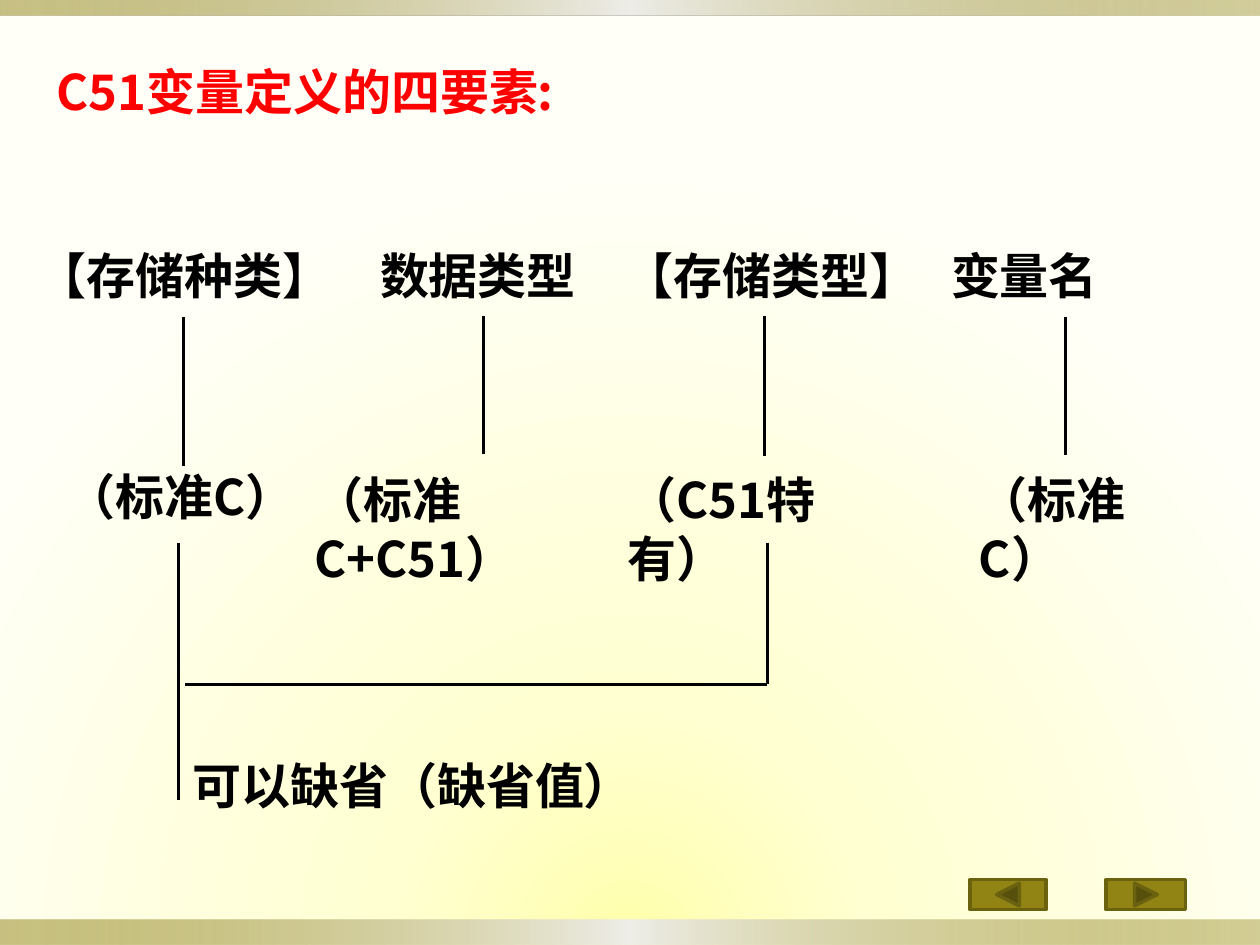
from lxml import etree
from pptx import Presentation
from pptx.dml.color import RGBColor
from pptx.enum.shapes import MSO_CONNECTOR, MSO_SHAPE
from pptx.enum.text import MSO_ANCHOR, MSO_AUTO_SIZE, PP_ALIGN
from pptx.oxml import parse_xml
from pptx.oxml.ns import nsdecls, qn
from pptx.util import Inches, Pt

RECT = MSO_SHAPE.RECTANGLE
BACK = MSO_SHAPE.ACTION_BUTTON_BACK_OR_PREVIOUS
NEXT = MSO_SHAPE.ACTION_BUTTON_FORWARD_OR_NEXT
STRAIGHT = MSO_CONNECTOR.STRAIGHT
TOP, MIDDLE = MSO_ANCHOR.TOP, MSO_ANCHOR.MIDDLE
LEFT = PP_ALIGN.LEFT
FIXED, GROW = MSO_AUTO_SIZE.NONE, MSO_AUTO_SIZE.SHAPE_TO_FIT_TEXT

COLORS = {
    "text": "000000",
    "title": "FF0000",
    "olive": "918415",
    "olive_dark": "6B6210",
    "silver": "EEEDE8",
    "glow": "FFFFAC",
    "cream": "FFFFD2",
    "ivory": "FFFFF7",
}
LINEAR = '<a:lin ang="0" scaled="0"/>'
RADIAL = ('<a:path path="circle">'
          '<a:fillToRect l="50000" t="150000" r="50000" b="0"/></a:path>')


def rgb(name):
    return RGBColor.from_string(COLORS[name])


def set_gradient(parent, stops, direction):
    """Replace the solid fill in parent; stops are (percent, color, opacity)."""
    gs = "".join(
        f'<a:gs pos="{pos * 1000}"><a:srgbClr val="{COLORS[color]}">'
        f'<a:alpha val="{opacity * 1000}"/></a:srgbClr></a:gs>'
        for pos, color, opacity in stops)
    grad = parse_xml(f'<a:gradFill {nsdecls("a")} rotWithShape="1">'
                     f'<a:gsLst>{gs}</a:gsLst>{direction}</a:gradFill>')
    parent.replace(parent.find(qn("a:solidFill")), grad)


class SlideBuilder:
    font = "Noto Sans CJK SC"
    size = 28
    line_width = 1.75

    def __init__(self, slide):
        self.slide = slide

    def background(self, stops):
        self.slide.background.fill.solid()
        bg_pr = self.slide._element.cSld.find(qn("p:bg")).find(qn("p:bgPr"))
        set_gradient(bg_pr, stops, RADIAL)

    def shape(self, kind, x, y, w, h):
        sp = self.slide.shapes.add_shape(
            kind, Inches(x), Inches(y), Inches(w), Inches(h))
        sp.shadow.inherit = False
        sp.fill.solid()
        return sp

    def band(self, y, h):
        sp = self.shape(RECT, 0, y, 10, h)
        sp.line.fill.background()
        stops = [(0, "olive", 50), (50, "silver", 100), (100, "olive", 40)]
        set_gradient(sp._element.spPr, stops, LINEAR)

    def button(self, kind, x, w):
        sp = self.shape(kind, x, 6.98, w, 0.24)
        sp.fill.fore_color.rgb = rgb("olive")
        sp.line.color.rgb = rgb("olive_dark")
        sp.line.width = Pt(2)

    def set_text(self, sp, text, color="text", anchor=TOP, tab=None, fit=GROW):
        tf = sp.text_frame
        tf.word_wrap = True
        tf.auto_size = fit
        tf.vertical_anchor = anchor
        p = tf.paragraphs[0]
        p.text = text
        p.alignment = LEFT
        if tab:
            tabs = etree.SubElement(p._p.get_or_add_pPr(), qn("a:tabLst"))
            etree.SubElement(tabs, qn("a:tab"), pos=str(Inches(tab)), algn="l")
        p.font.size = Pt(self.size)
        p.font.bold = True
        p.font.color.rgb = rgb(color)
        p.font.name = self.font
        props = p._p.pPr.find(qn("a:defRPr"))
        etree.SubElement(props, qn("a:ea"), typeface=self.font)

    def title(self, text, x, y, w, h):
        sp = self.slide.shapes.title
        sp.left, sp.top, sp.width, sp.height = map(Inches, (x, y, w, h))
        self.set_text(sp, text, "title", fit=FIXED)

    def text(self, text, x, y, w, inset=0.1, **style):
        sp = self.slide.shapes.add_textbox(
            Inches(x), Inches(y), Inches(w), Inches(0.57))
        sp.text_frame.margin_left = sp.text_frame.margin_right = Inches(inset)
        self.set_text(sp, text, **style)

    def line(self, x1, y1, x2, y2):
        cn = self.slide.shapes.add_connector(
            STRAIGHT, Inches(x1), Inches(y1), Inches(x2), Inches(y2))
        cn.line.color.rgb = rgb("text")
        cn.line.width = Pt(self.line_width)
        etree.SubElement(cn._element.spPr, qn("a:effectLst"))


def main():
    prs = Presentation()
    prs.slide_width, prs.slide_height = Inches(10), Inches(7.5)
    s = SlideBuilder(prs.slides.add_slide(prs.slide_layouts[5]))

    s.background([(0, "glow", 100), (31, "cream", 100), (100, "ivory", 100)])
    s.band(7.3, 0.2)
    s.band(0, 0.12)
    s.button(BACK, 7.7, 0.6)
    s.button(NEXT, 8.78, 0.63)

    s.title("C51变量定义的四要素:", 0.35, 0.44, 5.72, 0.57)
    s.text("【存储种类】　数据类型　【存储类型】\t变量名",
           0.2, 1.9, 9.53, anchor=MIDDLE, tab=7.25)

    # Origin label, its box and inset, then the stem that leads down to it
    elements = [
        ("（标准C）", 0.43, 3.65, 2.05, 0.1, 1.46, 2.52, 3.7),
        ("（标准C+C51）", 2.4, 3.68, 2.45, 0.1, 3.84, 2.51, 3.6),
        ("（C51特有）", 4.88, 3.68, 2.02, 0.1, 6.07, 2.51, 3.62),
        ("（标准C）", 7.77, 3.68, 1.4, 0, 8.46, 2.52, 3.61),
    ]
    for label, x, y, w, inset, stem_x, stem_top, stem_end in elements:
        s.line(stem_x, stem_top, stem_x, stem_end)
        s.text(label, x, y, w, inset)

    # Bracket joining the two optional elements
    s.line(1.42, 4.31, 1.42, 6.35)
    s.line(6.09, 4.31, 6.09, 5.43)
    s.line(6.09, 5.43, 1.47, 5.43)
    s.text("可以缺省（缺省值）", 1.43, 5.95, 7.24)

    prs.save("out.pptx")


if __name__ == "__main__":
    main()
